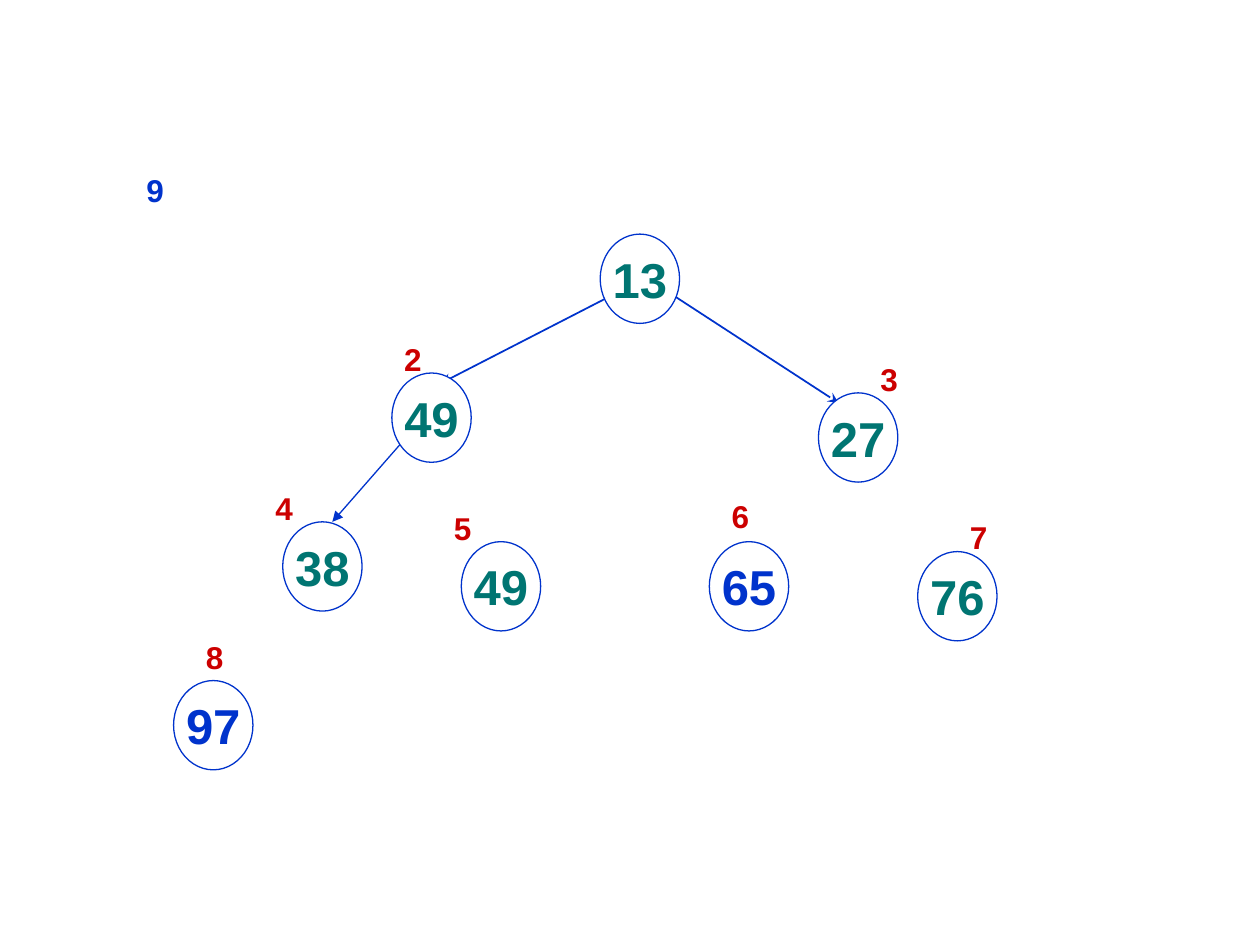
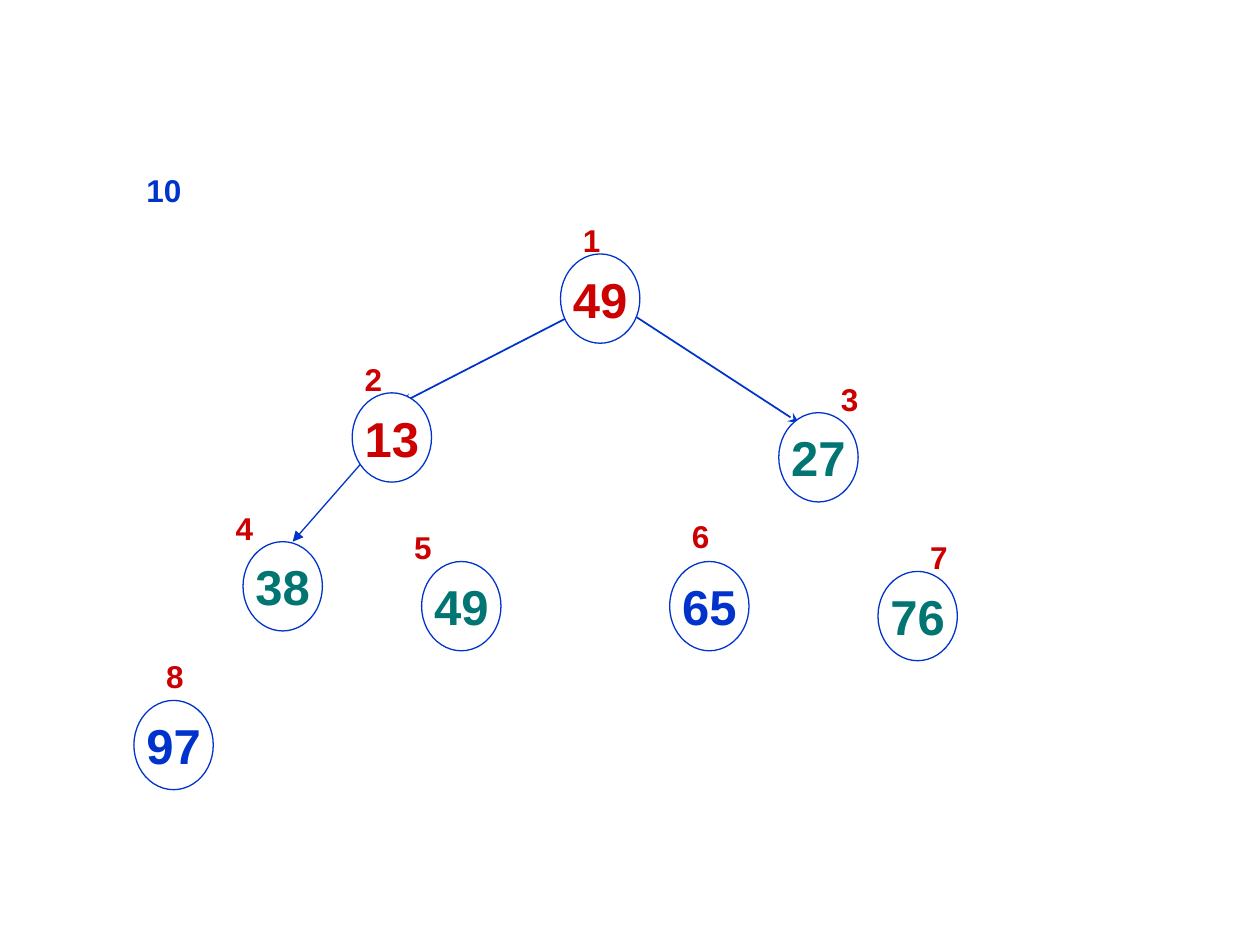
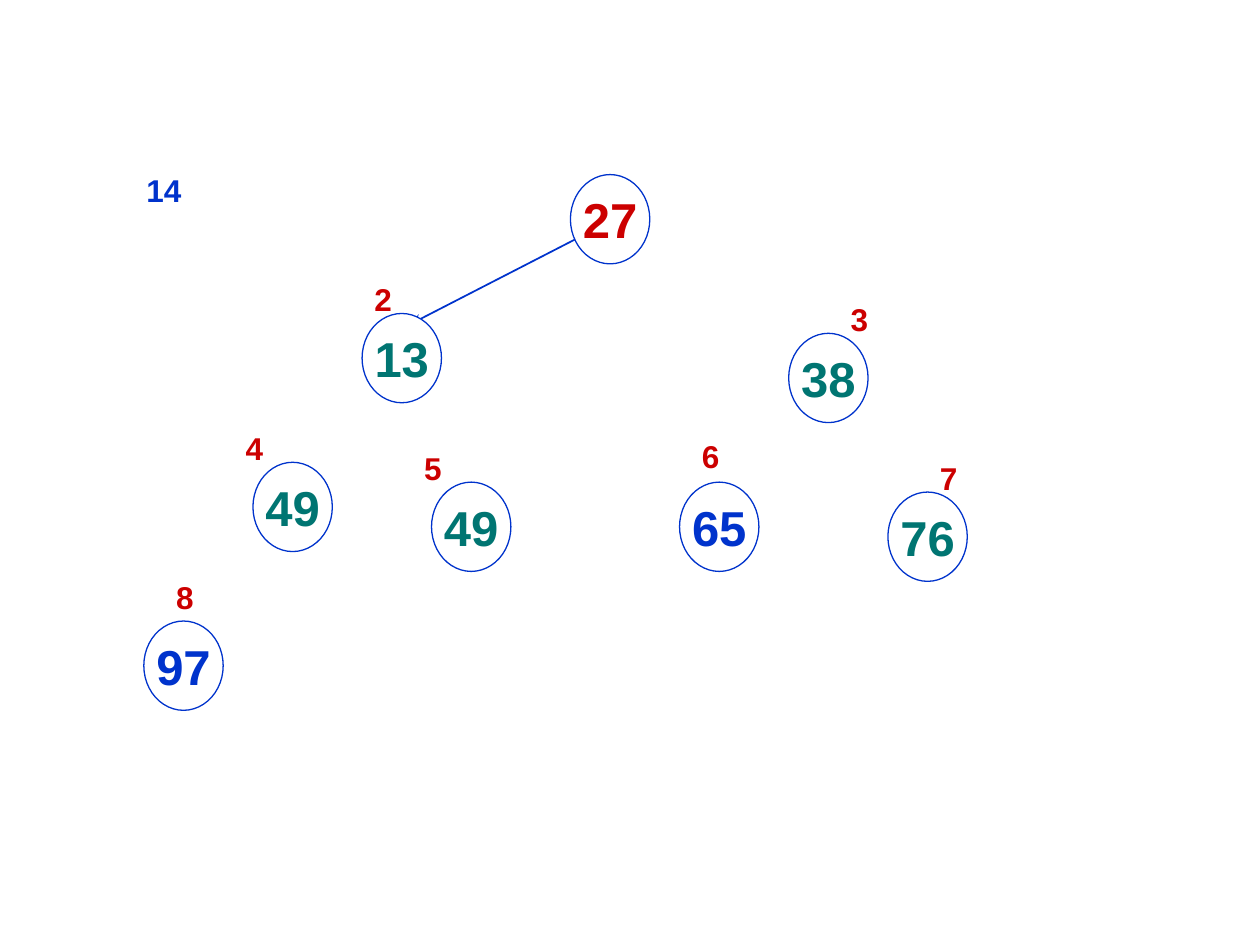
from lxml import etree
from pptx import Presentation
from pptx.dml.color import RGBColor
from pptx.enum.shapes import MSO_CONNECTOR, MSO_SHAPE
from pptx.enum.text import MSO_ANCHOR, PP_ALIGN
from pptx.oxml.ns import qn
from pptx.util import Cm, Pt

LEFT, CENTER = PP_ALIGN.LEFT, PP_ALIGN.CENTER
MIDDLE, BOTTOM = MSO_ANCHOR.MIDDLE, MSO_ANCHOR.BOTTOM
OVAL, LINE = MSO_SHAPE.OVAL, MSO_CONNECTOR.STRAIGHT

BLUE, RED, GREEN, WHITE = "0033CC", "CC0000", "007572", "FFFFFF"
FONT = "Arial"
NODE = 1.6, 1.8
STEP = 2.7, 3.32, 3.8, 1.02

# Keys are heap indices; node spots are measured from the root.
SPOTS = {
    1: (0, 0),
    2: (-4.2, 2.8), 3: (4.4, 3.2),
    4: (-6.4, 5.8), 5: (-2.8, 6.2), 6: (2.2, 6.2), 7: (6.4, 6.4),
    8: (-8.6, 9),
}
TAGS = {
    1: (0.2, -0.8, 0.86, 1.02),
    2: (0, -0.8, 0.8, 1.02),
    3: (1, -0.8, 1.06, 1.02),
    4: (-0.4, -0.8, 0.86, 1.02),
    5: (-0.4, -0.8, 0.8, 1.02),
    6: (0.2, -1.8, 0.9, 1.78),
    7: (0.8, -0.8, 0.86, 1.02),
    8: (0.4, -1, 0.86, 1.02),
}
EDGES = {
    2: ((-3.2, 3), (0.3, 1.2), 1, "headEnd", "stealth"),
    3: ((4.8, 3.4), (1.42, 1.2), 1, "headEnd", "stealth"),
    4: ((-4, 4.2), (-5.4, 5.8), 0.75, "tailEnd", "triangle"),
}
SLIDES = [
    dict(step="9", root=(12.1, 4.72), edges=(2, 3, 4), tags=range(2, 9),
         keys=(13, 49, 27, 38, 49, 65, 76, 97), red=()),
    dict(step="10", root=(11.3, 5.12), edges=(2, 3, 4), tags=range(1, 9),
         keys=(49, 13, 27, 38, 49, 65, 76, 97), red=(1, 2)),
    dict(step="14", root=(11.5, 3.52), edges=(2,), tags=range(2, 9),
         keys=(27, 13, 38, 49, 49, 65, 76, 97), red=(1,)),
]
BLUES = 6, 8


def paint(color):
    return RGBColor.from_string(color)


def shift(base, spot):
    return base[0] + spot[0], base[1] + spot[1]


def write(shape, text, size=18, color=RED, align=LEFT, anchor=BOTTOM, wrap=True):
    frame = shape.text_frame
    frame.word_wrap = wrap
    frame.vertical_anchor = anchor
    para = frame.paragraphs[0]
    para.alignment = align
    run = para.add_run()
    run.text = text
    font = run.font
    font.name, font.size, font.bold = FONT, Pt(size), True
    font.color.rgb = paint(color)


def label(slide, text, box, **look):
    write(slide.shapes.add_textbox(*map(Cm, box)), text, **look)


def arrow(slide, start, end, width, tip, kind):
    link = slide.shapes.add_connector(LINE, *map(Cm, start + end))
    link.line.color.rgb = paint(BLUE)
    link.line.width = Pt(width)
    props = link._element.spPr
    etree.SubElement(props.find(qn("a:ln")), qn("a:" + tip), type=kind)
    etree.SubElement(props, qn("a:effectLst"))


def node(slide, text, spot, color):
    oval = slide.shapes.add_shape(OVAL, *map(Cm, spot + NODE))
    oval.shadow.inherit = False
    oval.fill.solid()
    oval.fill.fore_color.rgb = paint(WHITE)
    oval.line.color.rgb = paint(BLUE)
    oval.line.width = Pt(0.75)
    write(oval, text, size=28, color=color, align=CENTER, anchor=MIDDLE, wrap=False)


def build(slide, step, root, edges, tags, keys, red):
    for child in edges:
        start, end, *style = EDGES[child]
        arrow(slide, shift(root, start), shift(root, end), *style)
    spots = {i: shift(root, spot) for i, spot in SPOTS.items()}
    for i in tags:
        label(slide, str(i), shift(spots[i], TAGS[i]) + TAGS[i][2:])
    for i, key in enumerate(keys, 1):
        color = RED if i in red else BLUE if i in BLUES else GREEN
        node(slide, str(key), spots[i], color)
    label(slide, step, STEP, color=BLUE)


def main():
    deck = Presentation()
    deck.slide_width, deck.slide_height = Cm(25.4), Cm(19.05)
    for data in SLIDES:
        build(deck.slides.add_slide(deck.slide_layouts[6]), **data)
    deck.save("out.pptx")


if __name__ == "__main__":
    main()
